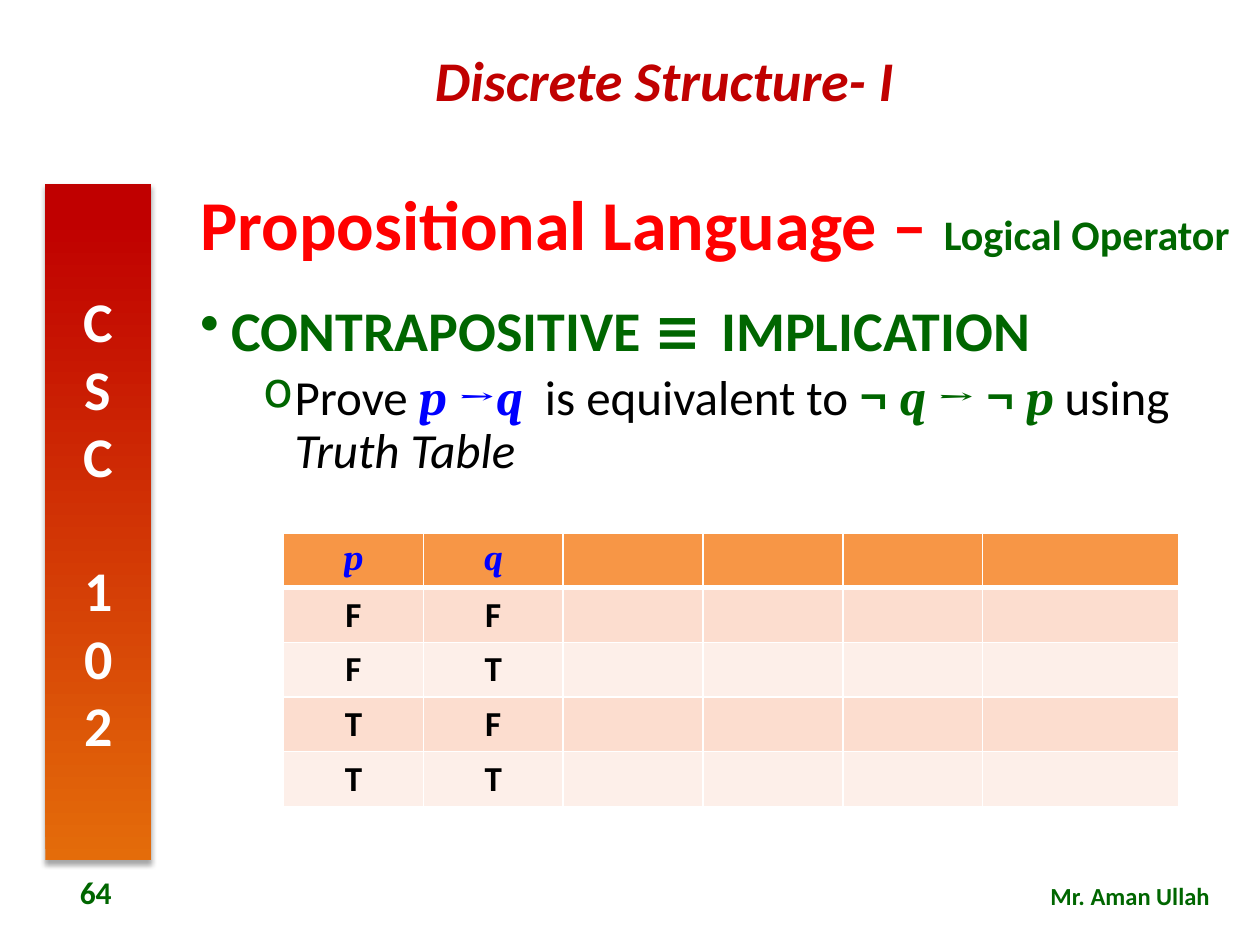
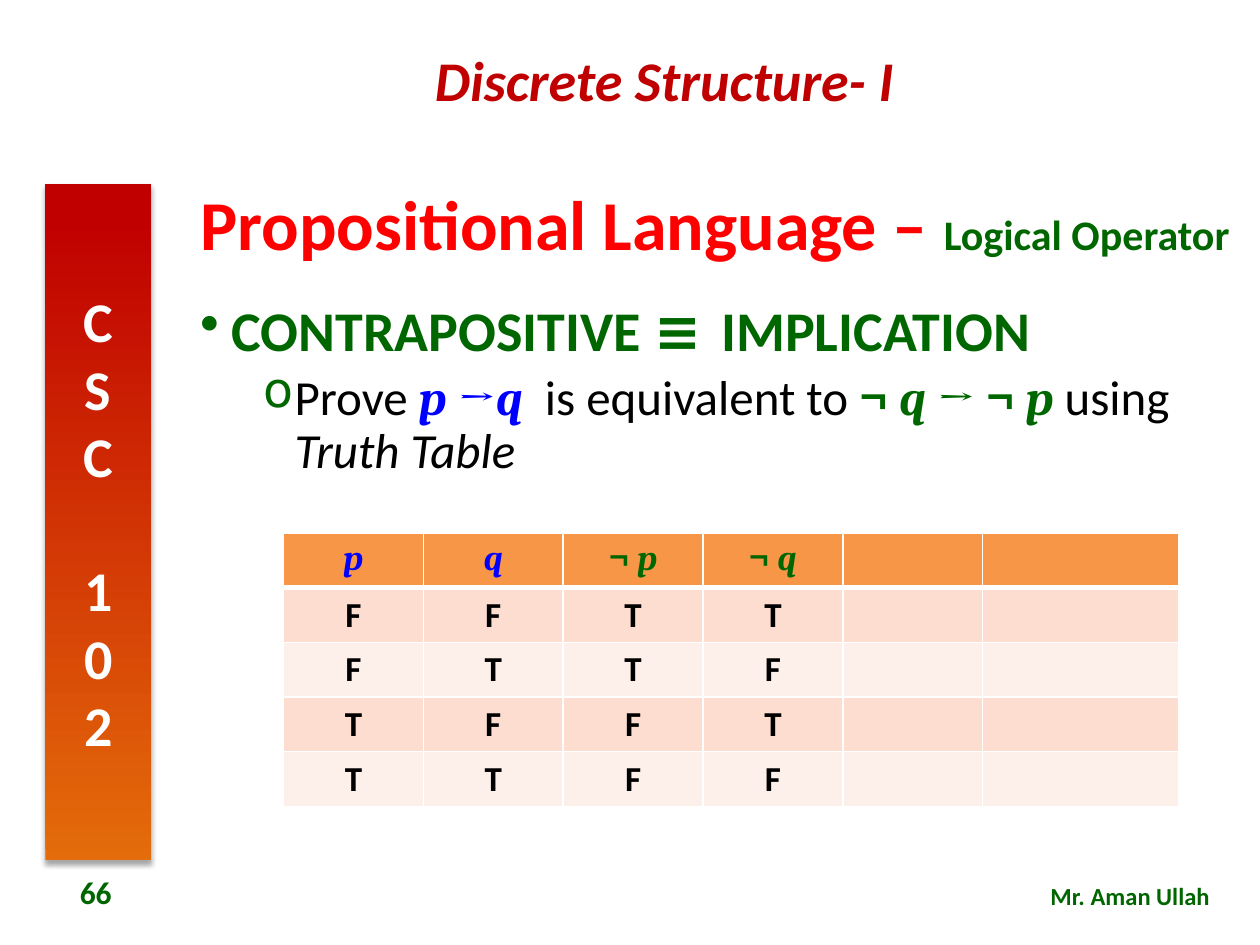
import pptx
import pptx.util
import pptx.dml.color
import pptx.enum.shapes
import pptx.enum.text
import pptx.oxml
import pptx.oxml.ns
import lxml.etree

Inches = pptx.util.Inches
Pt = pptx.util.Pt
RGB = pptx.dml.color.RGBColor.from_string
Align = pptx.enum.text.PP_ALIGN
Anchor = pptx.enum.text.MSO_ANCHOR
qn = pptx.oxml.ns.qn

COLORS = {
    "crimson": "C00000", "orange": "E46C0A", "red": "FF0000", "green": "006600",
    "blue": "0000FF", "black": "000000", "white": "FFFFFF",
    "header": "F79646", "odd": "FCDDCF", "even": "FDEFE9",
}
NAMESPACE = 'xmlns:a="http://schemas.openxmlformats.org/drawingml/2006/main"'


def write(para, runs, size, align=Align.LEFT, bold=True):
    para.alignment = align
    para.font.size = Pt(size)
    para.font.bold = bold
    for text, face, color, italic, *changes in runs:
        span = para.add_run()
        span.text = text
        span.font.name = face
        span.font.color.rgb = RGB(COLORS[color])
        span.font.italic = italic
        span.font.bold = bold
        span.font.size = Pt(size)
        for name, value in (changes[0] if changes else {}).items():
            setattr(span.font, name, value)


def add_text(page, place, runs, size, align, anchor=Anchor.TOP):
    box = page.shapes.add_textbox(*map(Inches, place))
    box.text_frame.word_wrap = True
    box.text_frame.vertical_anchor = anchor
    write(box.text_frame.paragraphs[0], runs, size, align)


claim = [
    ("CONTRAPOSITIVE ", "Calibri", "green", False),
    ("≡ ", "Comic Neue", "green", False),
    ("IMPLICATION", "Calibri", "green", False),
]
plain = {"bold": False}
task = [
    ("Prove ", "Calibri", "black", False, plain),
    ("p ", "Cambria", "blue", True),
    ("→", "Cambria", "blue", False),
    ("q ", "Cambria", "blue", True),
    (" is equivalent to ", "Calibri", "black", False, plain),
    ("¬ ", "Cambria", "green", False),
    ("q ", "Cambria", "green", True),
    ("→ ¬ ", "Cambria", "green", False),
    ("p ", "Cambria", "green", True),
    ("using ", "Calibri", "black", False, plain),
    ("Truth Table", "Calibri", "black", True, plain),
]
bullets = [
    (claim, 32, Align.JUSTIFY, 0.25, 0, "•"),
    (task, 28, Align.LEFT, 0.75, 5, "o"),
]
truth_columns = [
    ([("p", "Cambria", "blue", True)], "FFTT"),
    ([("q", "Cambria", "blue", True)], "FTFT"),
    ([("¬ ", "Cambria", "green", False), ("p", "Cambria", "green", True)], "TTFF"),
    ([("¬ ", "Cambria", "green", False), ("q", "Cambria", "green", True)], "TFTF"),
]
column_widths = [1.11] * 5 + [1.56]
row_count = 5

deck = pptx.Presentation()
deck.slide_width = Inches(10)
deck.slide_height = Inches(7.5)

for number, filled_columns in [("64", 2), ("66", 4)]:
    page = deck.slides.add_slide(deck.slide_layouts[5])

    add_text(page, (2.11, 0.31, 6.33, 0.64),
             [("Discrete Structure- I", "Calibri", "crimson", True)], 32, Align.CENTER)

    band = page.shapes.add_shape(pptx.enum.shapes.MSO_SHAPE.RECTANGLE,
                                 Inches(0.36), Inches(1.46), Inches(0.84), Inches(5.37))
    band.line.fill.background()
    band.fill.gradient()
    band.fill.gradient_angle = 90
    for stop, position, color in zip(band.fill.gradient_stops, (0, 0.95), ("orange", "crimson")):
        stop.position = position
        stop.color.rgb = RGB(COLORS[color])
    band.shadow.inherit = False
    effects = band._element.spPr.find(qn("a:effectLst"))
    effects.append(pptx.oxml.parse_xml(
        f'<a:outerShdw {NAMESPACE} blurRad="{Pt(3.1)}" dist="{Pt(1.8)}" dir="5400000" '
        f'rotWithShape="0"><a:srgbClr val="{COLORS["black"]}"><a:alpha val="35000"/>'
        '</a:srgbClr></a:outerShdw>'))
    band.text_frame._txBody.bodyPr.set("vert", "wordArtVert")
    write(band.text_frame.paragraphs[0],
          [("CSC 102", "Calibri", "white", False)], 32, Align.CENTER)

    add_text(page, (6.8, 6.94, 2.9, 0.34),
             [("Mr. Aman Ullah", "Calibri", "green", False)], 14, Align.RIGHT)
    add_text(page, (0.24, 6.88, 1.04, 0.4),
             [(number, "Calibri", "green", False)], 18, Align.CENTER, Anchor.MIDDLE)

    title = page.shapes.title
    title.left, title.top, title.width, title.height = map(Inches, (1.49, 1.36, 8.39, 0.89))
    title.text_frame.auto_size = pptx.enum.text.MSO_AUTO_SIZE.NONE
    title.text_frame.vertical_anchor = Anchor.MIDDLE
    heading = title.text_frame.paragraphs[0]
    heading.line_spacing = 0.9
    write(heading, [("Propositional Language – ", "Calibri", "red", False),
                    ("Logical Operator", "Calibri", "green", False, {"size": Pt(24)})], 40)

    body = page.shapes.add_textbox(Inches(1.49), Inches(2.36), Inches(8.39), Inches(4.4))
    body.text_frame.word_wrap = True
    for index, (runs, size, align, margin, space, mark) in enumerate(bullets):
        para = body.text_frame.paragraphs[0] if index == 0 else body.text_frame.add_paragraph()
        para.level = index
        para.line_spacing = 0.9
        para.space_before = Pt(space)
        properties = para._p.get_or_add_pPr()
        properties.set("marL", str(Inches(margin)))
        properties.set("indent", str(Inches(-0.25)))
        bullet_color = lxml.etree.SubElement(properties, qn("a:buClr"))
        lxml.etree.SubElement(bullet_color, qn("a:srgbClr"), val=COLORS["green"])
        lxml.etree.SubElement(properties, qn("a:buChar"), char=mark)
        write(para, runs, size, align)

    table = page.shapes.add_table(row_count, len(column_widths), Inches(2.25), Inches(4.23),
                                  Inches(sum(column_widths)), Inches(2.17)).table
    for column, width in zip(table.columns, column_widths):
        column.width = Inches(width)
    for row in range(row_count):
        for column in range(len(column_widths)):
            cell = table.cell(row, column)
            edges = {"L": 1, "R": 1, "T": 3 if row == 1 else 1, "B": 3 if row == 0 else 1}
            for side, weight in edges.items():
                cell._tc.get_or_add_tcPr().append(pptx.oxml.parse_xml(
                    f'<a:ln{side} {NAMESPACE} w="{Pt(weight)}"><a:solidFill>'
                    f'<a:srgbClr val="{COLORS["white"]}"/></a:solidFill></a:ln{side}>'))
            cell.fill.solid()
            shade = "header" if row == 0 else "odd" if row % 2 else "even"
            cell.fill.fore_color.rgb = RGB(COLORS[shade])
            if column < filled_columns:
                symbol, values = truth_columns[column]
                runs = symbol if row == 0 else [(values[row - 1], "Calibri", "black", False)]
                write(cell.text_frame.paragraphs[0], runs, 20, Align.CENTER)

deck.save("out.pptx")
